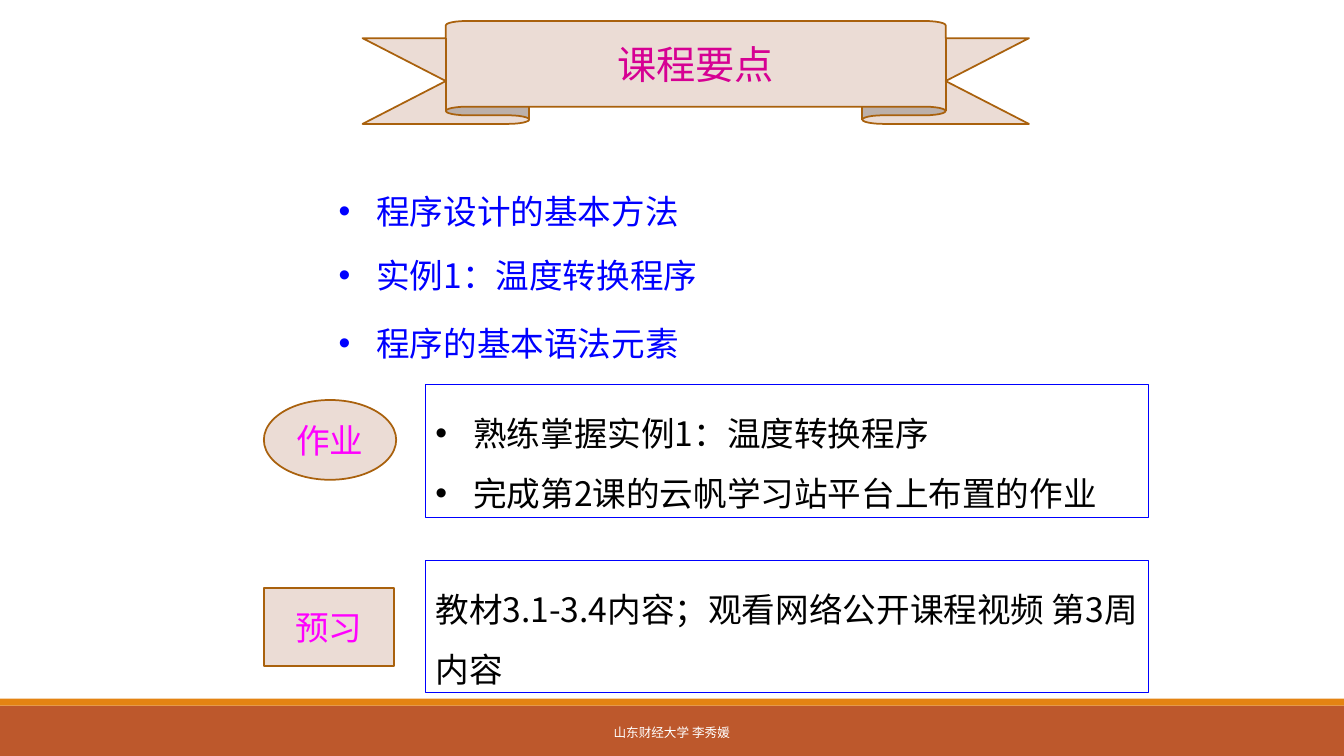
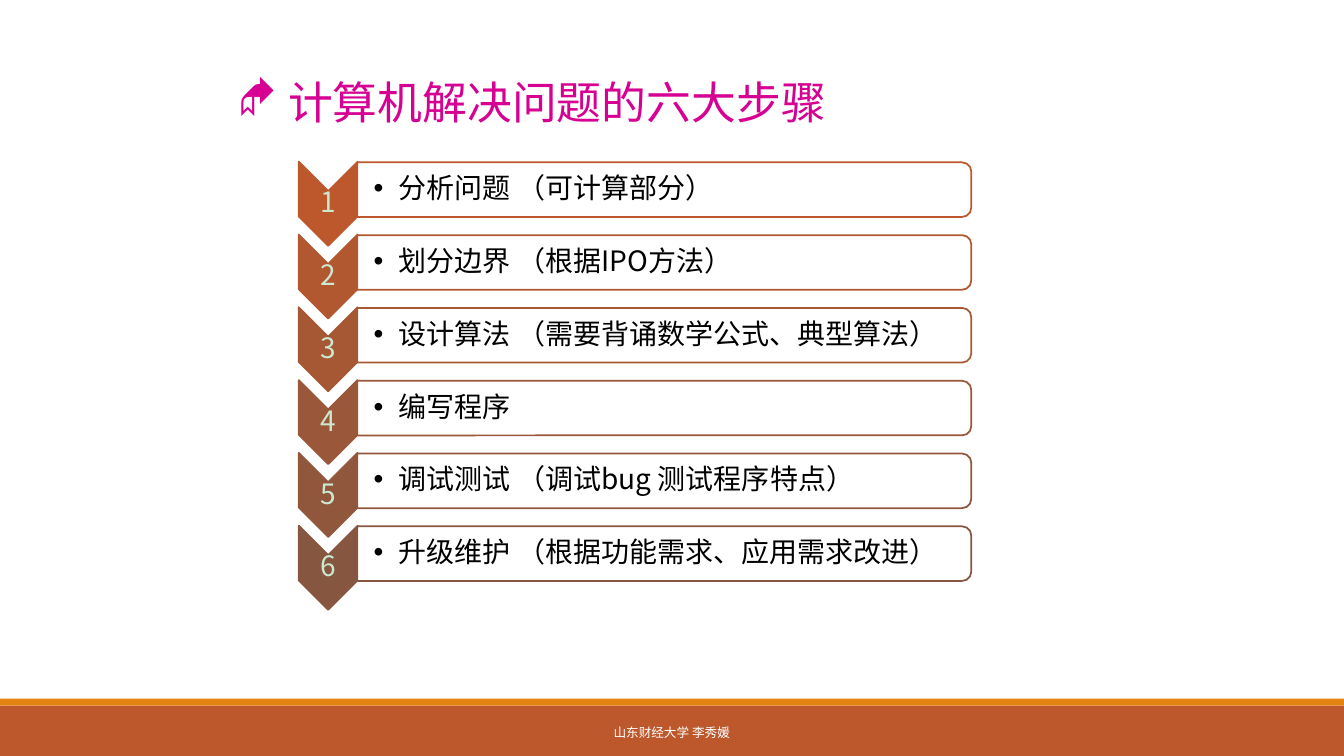
from dataclasses import dataclass

from lxml import etree
from pptx import Presentation
from pptx.dml.color import RGBColor
from pptx.enum.shapes import MSO_SHAPE
from pptx.enum.text import MSO_ANCHOR, PP_ALIGN
from pptx.oxml.ns import qn
from pptx.util import Pt

RECTANGLE, ELLIPSE = MSO_SHAPE.RECTANGLE, MSO_SHAPE.OVAL
RIBBON, CHEVRON = MSO_SHAPE.UP_RIBBON, MSO_SHAPE.CHEVRON
PANEL = MSO_SHAPE.ROUND_2_SAME_RECTANGLE
TOP, MIDDLE = MSO_ANCHOR.TOP, MSO_ANCHOR.MIDDLE
LEFT, CENTER = PP_ALIGN.LEFT, PP_ALIGN.CENTER

CHINESE_FONT, FOOTER_FONT = "Noto Sans CJK SC", "Calibri"
COLOURS = {
    "paper": "FFFFFF", "footer": "BD582C", "band": "E48312",
    "label": "EBDCD5", "label_line": "A9610D", "title": "D60093",
    "blue": "0000FF", "magenta": "FF00FF", "black": "000000",
    "number": "CCE8CF",
    "step1": "BD582C", "step2": "B15831", "step3": "A65835",
    "step4": "9B5739", "step5": "90573D", "step6": "865640",
}


@dataclass(frozen=True)
class Box:
    """Position and size in points."""
    left: float
    top: float
    width: float
    height: float


@dataclass(frozen=True)
class TextStyle:
    size: float
    colour: str
    font: str = CHINESE_FONT
    align: int = LEFT
    anchor: int = TOP
    line_spacing: float = 1.0  # a multiple, or a length such as Pt(43)
    space_after: float = 0
    bullet: str = ""
    bullet_font: str = "Arial"
    indent: float = 0
    margins: tuple[float, float, float, float] = (7.2, 3.6, 7.2, 3.6)


@dataclass(frozen=True)
class Label:
    """A filled caption shape."""
    kind: int
    box: Box
    text: str
    style: TextStyle


@dataclass(frozen=True)
class Task:
    """A framed box with the lines of one task."""
    box: Box
    lines: tuple[str, ...]
    style: TextStyle


# Text styles
BODY_MARGINS = (7.2, 5.6, 7.2, 3.6)
FOOTER_STYLE = TextStyle(9, "paper", FOOTER_FONT, CENTER, MIDDLE)
RIBBON_STYLE = TextStyle(28, "title", align=CENTER, anchor=MIDDLE)
LABEL_STYLE = TextStyle(24, "magenta", align=CENTER, anchor=MIDDLE)
TOPIC_STYLE = TextStyle(24, "blue", line_spacing=Pt(43), bullet="•",
                        indent=27, margins=BODY_MARGINS)
HOMEWORK_STYLE = TextStyle(24, "black", line_spacing=Pt(43), bullet="•",
                           indent=27, margins=BODY_MARGINS)
PREVIEW_STYLE = TextStyle(24, "black", line_spacing=Pt(43),
                          margins=BODY_MARGINS)
HEADING_STYLE = TextStyle(32, "title", line_spacing=Pt(61), bullet="◆",
                          bullet_font="Wingdings", indent=36)
NUMBER_STYLE = TextStyle(20, "number", align=CENTER, anchor=MIDDLE,
                         line_spacing=0.9, space_after=2,
                         margins=(0.9, 0.9, 0.9, 0.9))
STEP_STYLE = TextStyle(20, "black", anchor=MIDDLE, line_spacing=0.9,
                       space_after=3, bullet="•", indent=18,
                       margins=(11.2, 0.9, 0.9, 0.9))

# Slide content
TOPICS = {
    116.6: "程序设计的基本方法",
    162: "实例1：温度转换程序",
    211: "程序的基本语法元素",
}
LABELS = (
    Label(RIBBON, Box(259, 15, 476, 73.5), "课程要点", RIBBON_STYLE),
    Label(ELLIPSE, Box(188.5, 285.7, 94.5, 57), "作业", LABEL_STYLE),
    Label(RECTANGLE, Box(188.5, 420, 93, 56), "预习", LABEL_STYLE),
)
TASKS = (
    Task(Box(304, 275, 516.5, 94.5),
         ("熟练掌握实例1：温度转换程序",
          "完成第2课的云帆学习站平台上布置的作业"), HOMEWORK_STYLE),
    Task(Box(304, 400.5, 516.5, 94.5),
         ("教材3.1-3.4内容；观看网络公开课程视频 第3周内容",), PREVIEW_STYLE),
)
STEPS = (
    "分析问题 （可计算部分）",
    "划分边界 （根据IPO方法）",
    "设计算法 （需要背诵数学公式、典型算法）",
    "编写程序",
    "调试测试 （调试bug 测试程序特点）",
    "升级维护 （根据功能需求、应用需求改进）",
)
STEP_PITCH = 52


def colour(name: str) -> RGBColor:
    return RGBColor.from_string(COLOURS[name])


def lengths(box: Box) -> tuple:
    return Pt(box.left), Pt(box.top), Pt(box.width), Pt(box.height)


def centred(x: float, y: float, width: float, height: float) -> Box:
    return Box(x - width / 2, y - height / 2, width, height)


def set_attributes(target, values: dict) -> None:
    for name, value in values.items():
        setattr(target, name, value)


def add_bullet(paragraph, style: TextStyle) -> None:
    properties = paragraph._p.get_or_add_pPr()
    properties.set("marL", str(Pt(style.indent)))
    properties.set("indent", str(-Pt(style.indent)))
    font = etree.SubElement(properties, qn("a:buFont"))
    font.set("typeface", style.bullet_font)
    etree.SubElement(properties, qn("a:buChar")).set("char", style.bullet)


def write_text(shape, lines: tuple[str, ...], style: TextStyle) -> None:
    frame = shape.text_frame
    left, top, right, bottom = map(Pt, style.margins)
    set_attributes(frame, {
        "word_wrap": True, "vertical_anchor": style.anchor,
        "margin_left": left, "margin_top": top,
        "margin_right": right, "margin_bottom": bottom,
    })
    for index, line in enumerate(lines):
        paragraph = frame.add_paragraph() if index else frame.paragraphs[0]
        if style.bullet:
            add_bullet(paragraph, style)
        set_attributes(paragraph, {
            "alignment": style.align, "line_spacing": style.line_spacing,
            "space_after": Pt(style.space_after),
        })
        run = paragraph.add_run()
        run.text = line
        run.font.color.rgb = colour(style.colour)
        set_attributes(run.font, {"size": Pt(style.size), "name": style.font})
        east_asian = etree.SubElement(run._r.get_or_add_rPr(), qn("a:ea"))
        east_asian.set("typeface", CHINESE_FONT)


def add_text(slide, box: Box, text: str, style: TextStyle) -> None:
    write_text(slide.shapes.add_textbox(*lengths(box)), (text,), style)


def add_shape(slide, kind: int, box: Box, fill: str = "", line: str = "",
              line_width: float = 1.25, rotation: float = 0):
    shape = slide.shapes.add_shape(kind, *lengths(box))
    set_attributes(shape, {"rotation": rotation})
    shape.shadow.inherit = False
    if fill:
        shape.fill.solid()
        shape.fill.fore_color.rgb = colour(fill)
    else:
        shape.fill.background()
    if line:
        shape.line.color.rgb = colour(line)
        shape.line.width = Pt(line_width)
    else:
        shape.line.fill.background()
    return shape


def new_slide(presentation):
    """Add a blank slide with the shared bands and footer."""
    slide = presentation.slides.add_slide(presentation.slide_layouts[6])
    slide.background.fill.solid()
    slide.background.fill.fore_color.rgb = colour("paper")
    add_shape(slide, RECTANGLE, Box(0, 504, 960, 36), "footer")
    add_shape(slide, RECTANGLE, Box(0, 499, 960, 5), "band")
    add_text(slide, Box(290, 508.5, 379.5, 28.8), "山东财经大学 李秀媛",
             FOOTER_STYLE)
    return slide


def build_outline_slide(presentation) -> None:
    slide = new_slide(presentation)
    # Ribbon title and captions
    for label in LABELS:
        shape = add_shape(slide, label.kind, label.box, "label", "label_line")
        if label.kind == RIBBON:
            shape.adjustments[0], shape.adjustments[1] = 0.167, 0.75
        write_text(shape, (label.text,), label.style)
    # Topics
    for top, topic in TOPICS.items():
        add_text(slide, Box(234.7, top, 578, 51), topic, TOPIC_STYLE)
    # Homework and preview
    for task in TASKS:
        frame = add_shape(slide, RECTANGLE, task.box, line="blue",
                          line_width=0.75)
        write_text(frame, task.lines, task.style)


def build_steps_slide(presentation) -> None:
    slide = new_slide(presentation)
    add_text(slide, Box(162.7, 27.4, 653.8, 65.5),
             "计算机解决问题的六大步骤", HEADING_STYLE)
    # Numbered chevrons with their panels
    for index, step in enumerate(STEPS):
        number = str(index + 1)
        tint = "step" + number
        chevron_y = 145.5 + index * STEP_PITCH
        panel_y = 135.5 + index * STEP_PITCH
        add_shape(slide, CHEVRON, centred(234.4, chevron_y, 60, 42),
                  tint, tint, rotation=90)
        add_text(slide, centred(234.4, chevron_y, 42, 18), number,
                 NUMBER_STYLE)
        add_shape(slide, PANEL, centred(474.5, panel_y, 39, 438.5),
                  "paper", tint, rotation=90)
        add_text(slide, centred(473.8, panel_y, 436.4, 35.2), step,
                 STEP_STYLE)


def main() -> None:
    presentation = Presentation()
    set_attributes(presentation,
                   {"slide_width": Pt(960), "slide_height": Pt(540)})
    build_outline_slide(presentation)
    build_steps_slide(presentation)
    presentation.save("out.pptx")


if __name__ == "__main__":
    main()
